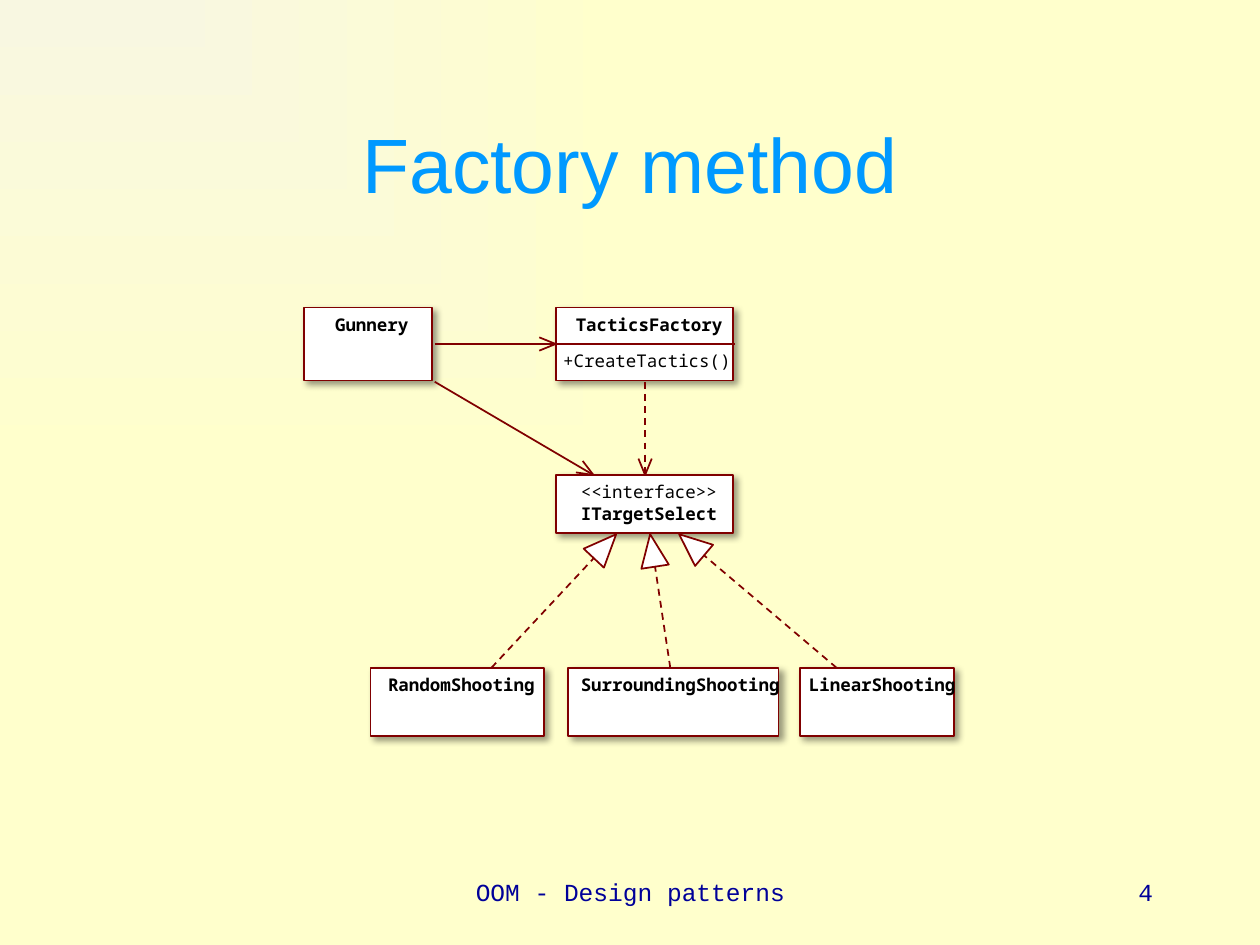
from dataclasses import dataclass
from math import hypot

from lxml.etree import SubElement
from pptx import Presentation
from pptx.dml.color import RGBColor
from pptx.enum.dml import MSO_LINE
from pptx.enum.shapes import MSO_CONNECTOR, MSO_SHAPE
from pptx.enum.text import MSO_ANCHOR, MSO_AUTO_SIZE, PP_ALIGN
from pptx.oxml import parse_xml
from pptx.oxml.ns import nsdecls, qn
from pptx.util import Inches, Pt


@dataclass(frozen=True)
class Theme:
    """Colours, fonts and type sizes of the slide."""
    title: str = "0099FF"
    footer: str = "000099"
    ink: str = "000000"
    line: str = "800000"
    paper: str = "FFFFFF"
    glow: str = "F8F7E1"
    back: str = "FFFFCC"
    title_font: str = "Arial"
    footer_font: str = "Courier New"
    code_font: str = "Noto Sans Mono"
    title_size: int = 44
    footer_size: int = 14
    code_size: int = 10


def color(value):
    """Turn a hex string into a colour."""
    return RGBColor.from_string(value)


def grid(*cells):
    """Turn grid cells, 100 columns by 75 rows, into lengths."""
    return [Inches(cell / 10) for cell in cells]


class Sketch:
    """Draws the elements of a class diagram on one slide."""

    def __init__(self, page, theme):
        """Keep the slide and its style."""
        self.page, self.theme = page, theme

    def background(self):
        """Fill the page with a gradient from the top left corner."""
        stops = "".join(
            f'<a:gs pos="{place}"><a:srgbClr val="{value}"/></a:gs>'
            for place, value in ((0, self.theme.glow), (100000, self.theme.back)))
        self.page.background.fill.solid()
        properties = self.page.element.cSld.find(qn("p:bg")).find(qn("p:bgPr"))
        properties.replace(properties[0], parse_xml(
            f'<a:gradFill {nsdecls("a")} rotWithShape="0"><a:gsLst>{stops}</a:gsLst>'
            '<a:path path="rect"><a:fillToRect r="100000" b="100000"/></a:path>'
            '</a:gradFill>'))

    def set_text(self, box, text, font, size, value, align=PP_ALIGN.LEFT, bold=False):
        """Set and format one line of text."""
        box.text_frame.text = text
        para = box.text_frame.paragraphs[0]
        para.alignment = align
        for span in para.runs:
            span.font.name, span.font.size, span.font.bold = font, Pt(size), bold
            span.font.color.rgb = color(value)

    def title(self, text, *cells):
        """Place the title placeholder."""
        box = self.page.shapes.title
        box.left, box.top, box.width, box.height = grid(*cells)
        box.text_frame.vertical_anchor = MSO_ANCHOR.MIDDLE
        box.text_frame.auto_size = MSO_AUTO_SIZE.NONE
        theme = self.theme
        self.set_text(box, text, theme.title_font, theme.title_size, theme.title,
                      PP_ALIGN.CENTER)

    def footer(self, text, align, *cells):
        """Add a text at the foot of the page."""
        box = self.page.shapes.add_textbox(*grid(*cells))
        box.text_frame.word_wrap = True
        box.text_frame.vertical_anchor = MSO_ANCHOR.MIDDLE
        theme = self.theme
        self.set_text(box, text, theme.footer_font, theme.footer_size, theme.footer,
                      align)

    def label(self, text, left, top, bold):
        """Add one line of code, as wide as its letters."""
        box = self.page.shapes.add_textbox(*grid(left, top, 0.93 * len(text), 2.2))
        frame = box.text_frame
        frame.margin_left = frame.margin_right = 0
        frame.margin_top = frame.margin_bottom = 0
        frame.word_wrap = False
        frame.auto_size = MSO_AUTO_SIZE.SHAPE_TO_FIT_TEXT
        theme = self.theme
        self.set_text(box, text, theme.code_font, theme.code_size, theme.ink, bold=bold)

    def outline(self, shape):
        """Give a shape or connector the diagram line."""
        shape.line.color.rgb = color(self.theme.line)
        shape.line.width = Pt(1)

    def class_box(self, cells, labels):
        """Add a class with labels given as text, left, row offset and weight."""
        box = self.page.shapes.add_shape(MSO_SHAPE.RECTANGLE, *grid(*cells))
        box.fill.solid()
        box.fill.fore_color.rgb = color(self.theme.paper)
        self.outline(box)
        box.element.spPr.append(parse_xml(
            f'<a:effectLst {nsdecls("a")}><a:outerShdw blurRad="{Pt(4)}" '
            f'dist="{Pt(3)}" dir="2700000" algn="tl" rotWithShape="0">'
            f'<a:srgbClr val="{self.theme.ink}"><a:alpha val="40000"/></a:srgbClr>'
            '</a:outerShdw></a:effectLst>'))
        for text, left, offset, bold in labels:
            self.label(text, left, cells[1] + offset, bold)

    def line(self, start, end, dashed=False):
        """Add a straight line."""
        line = self.page.shapes.add_connector(
            MSO_CONNECTOR.STRAIGHT, *grid(*start, *end))
        self.outline(line)
        if dashed:
            line.line.dash_style = MSO_LINE.DASH
        SubElement(line.element.spPr, qn("a:effectLst"))

    def arrow(self, start, end, dashed=False, closed=False):
        """Add a line with an open head, or a closed one for a realization."""
        self.line(start, end, dashed)
        length, half = (2.6, 1.1) if closed else (1.3, 0.53)
        span = hypot(end[0] - start[0], end[1] - start[1])
        across, down = (end[0] - start[0]) / span, (end[1] - start[1]) / span
        foot = end[0] - length * across, end[1] - length * down
        first, last = [
            grid(foot[0] - side * half * down, foot[1] + side * half * across)
            for side in (1, -1)]
        builder = self.page.shapes.build_freeform(*first, scale=1.0)
        builder.add_line_segments([grid(*end), last], close=closed)
        head = builder.convert_to_shape()
        head.shadow.inherit = False
        self.outline(head)
        if closed:
            head.fill.solid()
            head.fill.fore_color.rgb = color(self.theme.paper)
        else:
            head.fill.background()


def build():
    """Build the slide and save it."""
    deck = Presentation()
    deck.slide_width, deck.slide_height = grid(100, 75)
    sketch = Sketch(deck.slides.add_slide(deck.slide_layouts[5]), Theme())
    sketch.background()
    sketch.title("Factory method", 7.5, 6.7, 85, 12.5)
    sketch.footer("OOM - Design patterns", PP_ALIGN.CENTER, 34.2, 68.3, 31.7, 5)
    sketch.footer("4", PP_ALIGN.RIGHT, 71.7, 68.3, 20.8, 5)

    top, middle, bottom = 24.4, 37.7, 53
    sketch.class_box((24.1, top, 10.2, 5.8), [("Gunnery", 26.6, 0.5, True)])
    sketch.class_box((44.1, top, 14.1, 5.8),
                     [("TacticsFactory", 45.7, 0.5, True),
                      ("+CreateTactics()", 44.7, 3.4, False)])
    sketch.class_box((44.1, middle, 14.1, 4.6),
                     [("<<interface>>", 46.1, 0.5, False),
                      ("ITargetSelect", 46.1, 2.2, True)])
    for name, left, width, text_left, start, end in (
            ("RandomShooting", 29.4, 13.8, 30.8, 39, 48.9),
            ("SurroundingShooting", 45.1, 16.7, 46.1, 53.2, 51.6),
            ("LinearShooting", 63.5, 12.2, 64.2, 66.4, 53.9)):
        sketch.class_box((left, bottom, width, 5.4), [(name, text_left, 0.5, True)])
        sketch.arrow((start, bottom), (end, 42.4), dashed=True, closed=True)

    sketch.line((44.1, 27.3), (58.3, 27.3))
    sketch.arrow((34.5, 27.3), (44.1, 27.3))
    sketch.arrow((34.5, 30.3), (47.1, middle))
    sketch.arrow((51.2, 30.3), (51.2, middle), dashed=True)
    deck.save("out.pptx")


build()
